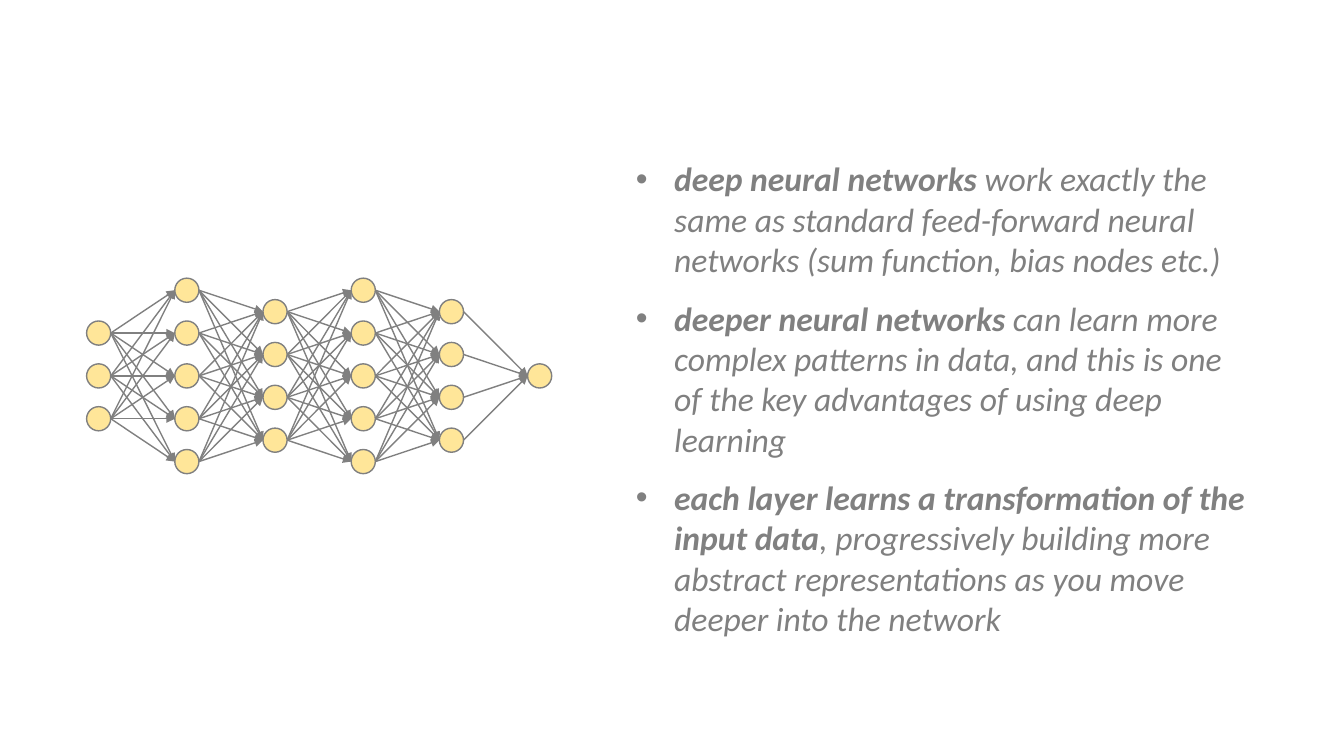
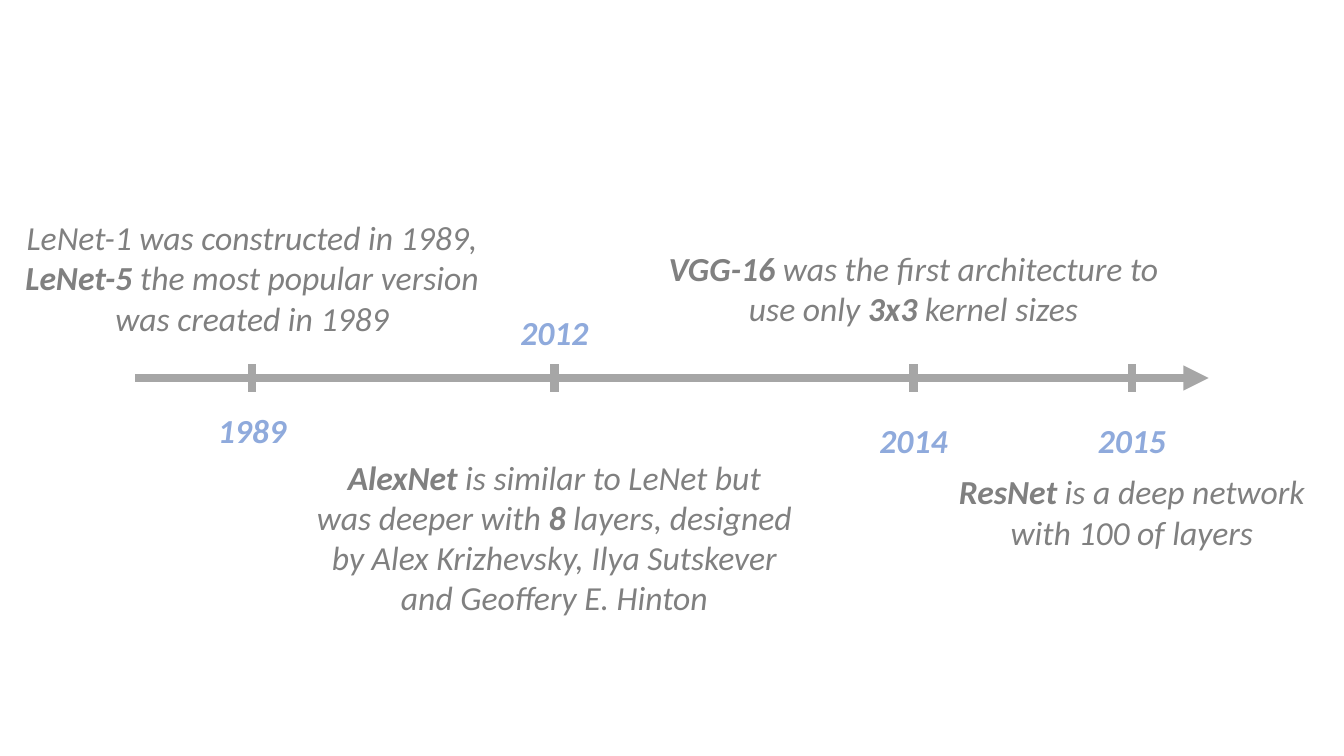
from itertools import pairwise, product

from lxml.etree import SubElement
from pptx import Presentation
from pptx.dml.color import RGBColor
from pptx.enum.shapes import MSO_CONNECTOR as Connector, MSO_SHAPE as Shape
from pptx.enum.text import MSO_ANCHOR as Anchor, MSO_AUTO_SIZE as AutoSize, PP_ALIGN as Align
from pptx.oxml.ns import qn
from pptx.util import Inches, Pt

GRAY = RGBColor(0x80, 0x80, 0x80)
AXIS_GRAY = RGBColor(0xA6, 0xA6, 0xA6)
BLUE = RGBColor(0x8F, 0xAA, 0xDC)
YELLOW = RGBColor(0xFF, 0xE6, 0x99)

COLUMNS, ROWS = 64, 36


class Deck:
    font_name = "Calibri"
    font_size = Pt(24)
    line_rows = 1.94
    inset_rows = 0.48

    def __init__(self):
        self.presentation = Presentation()
        self.presentation.slide_width = Inches(13.33)
        self.presentation.slide_height = Inches(7.5)
        self.slide = None

    def x(self, columns):
        return round(self.presentation.slide_width * columns / COLUMNS)

    def y(self, rows):
        return round(self.presentation.slide_height * rows / ROWS)

    def box(self, left, top, width, height):
        return self.x(left), self.y(top), self.x(width), self.y(height)

    def add_slide(self, layout_name):
        layout = self.presentation.slide_layouts.get_by_name(layout_name)
        self.slide = self.presentation.slides.add_slide(layout)

    def add_text(self, paragraph, text, color):
        for index, part in enumerate(text.split("*")):
            if part:
                run = paragraph.add_run()
                run.text = part
                run.font.name = self.font_name
                run.font.size = self.font_size
                run.font.italic = True
                run.font.bold = index % 2 == 1
                run.font.color.rgb = color

    def bullets(self, items, left, top, width, height):
        title = self.slide.shapes.title.element
        title.getparent().remove(title)
        body = self.slide.placeholders[1]
        body.left, body.top, body.width, body.height = self.box(left, top, width, height)
        text_frame = body.text_frame
        text_frame.auto_size = AutoSize.NONE
        text_frame.vertical_anchor = Anchor.TOP
        for index, item in enumerate(items):
            paragraph = text_frame.add_paragraph() if index else text_frame.paragraphs[0]
            properties = paragraph._p.get_or_add_pPr()
            properties.set("marL", str(Inches(0.38)))
            properties.set("indent", str(-Inches(0.38)))
            SubElement(properties, qn("a:buFont"), typeface="Arial")
            SubElement(properties, qn("a:buChar"), char="•")
            paragraph.space_before = Pt(13 if index else 0)
            self.add_text(paragraph, item, GRAY)

    def caption(self, lines, center, top, width, line_count, color=GRAY):
        width = min(width, 2 * center, 2 * (COLUMNS - center))
        height = self.inset_rows + self.line_rows * line_count
        shape = self.slide.shapes.add_textbox(*self.box(center - width / 2, top, width, height))
        text_frame = shape.text_frame
        text_frame.word_wrap = True
        for index, line in enumerate(lines):
            paragraph = text_frame.add_paragraph() if index else text_frame.paragraphs[0]
            paragraph.alignment = Align.CENTER
            self.add_text(paragraph, line, color)

    def line(self, start, end, color, width, arrow=False):
        connector = self.slide.shapes.add_connector(
            Connector.STRAIGHT, self.x(start[0]), self.y(start[1]), self.x(end[0]), self.y(end[1])
        )
        connector.line.color.rgb = color
        connector.line.width = Pt(width)
        if arrow:
            SubElement(connector.line._get_or_add_ln(), qn("a:tailEnd"), type="triangle")
        SubElement(connector._element.spPr, qn("a:effectLst"))

    def node(self, center, size):
        column, row = center
        shape = self.slide.shapes.add_shape(
            Shape.OVAL, *self.box(column - size / 2, row - size / 2, size, size)
        )
        shape.shadow.inherit = False
        shape.fill.solid()
        shape.fill.fore_color.rgb = YELLOW
        shape.line.color.rgb = GRAY
        shape.line.width = Pt(1)

    def network(self, layer_sizes, left, middle, column_step, row_step, node_size):
        layers = [
            [
                (left + layer * column_step, middle + (index - (size - 1) / 2) * row_step)
                for index in range(size)
            ]
            for layer, size in enumerate(layer_sizes)
        ]
        radius = node_size / 2
        for sources, targets in pairwise(layers):
            for (x1, y1), (x2, y2) in product(sources, targets):
                self.line((x1 + radius, y1), (x2 - radius, y2), GRAY, 1, arrow=True)
        for layer in layers:
            for center in layer:
                self.node(center, node_size)

    def timeline(self, events, left, right, row, tick):
        self.line((left, row), (right, row), AXIS_GRAY, 6, arrow=True)
        for year, column, year_top, lines, text_top, line_count in events:
            self.line((column, row - tick / 2), (column, row + tick / 2), AXIS_GRAY, 6)
            self.caption([f"*{year}*"], column, year_top, 12.9, 1, BLUE)
            self.caption(lines, column, text_top, 24.86, line_count)


def main():
    deck = Deck()

    deck.add_slide("Title and Content")
    deck.network(
        [3, 5, 4, 5, 4, 1], left=4.7, middle=17.9, column_step=4.2, row_step=2.04, node_size=1.15
    )
    deck.bullets(
        [
            "*deep neural networks* work exactly the same as standard feed-forward "
            "neural networks (sum function, bias nodes etc.)",
            "*deeper neural networks* can learn more complex patterns in data, "
            "and this is one of the key advantages of using deep learning",
            "*each layer learns a transformation of the input data*, progressively building "
            "more abstract representations as you move deeper into the network",
        ],
        left=29.8, top=7.3, width=30.05, height=23.5,
    )

    deck.add_slide("Blank")
    deck.timeline(
        [
            (1989, 12, 19.3, [
                "LeNet-1 was constructed in 1989,* LeNet-5* the most popular version "
                "was created in 1989",
            ], 10.1, 3),
            (2012, 26.4, 14.6, [
                "*AlexNet* is similar to LeNet but",
                "was deeper with *8* layers, designed by Alex Krizhevsky, "
                "Ilya Sutskever and Geoffery E. Hinton",
            ], 21.5, 4),
            (2014, 43.5, 19.75, [
                "*VGG-16* was the first architecture to use only *3x3* kernel sizes",
            ], 11.55, 2),
            (2015, 53.9, 19.75, [
                "*ResNet *is a deep network",
                "with 100 of layers",
            ], 22.2, 2),
        ],
        left=6.43, right=57.55, row=18, tick=1.3,
    )

    deck.presentation.save("out.pptx")


if __name__ == "__main__":
    main()
